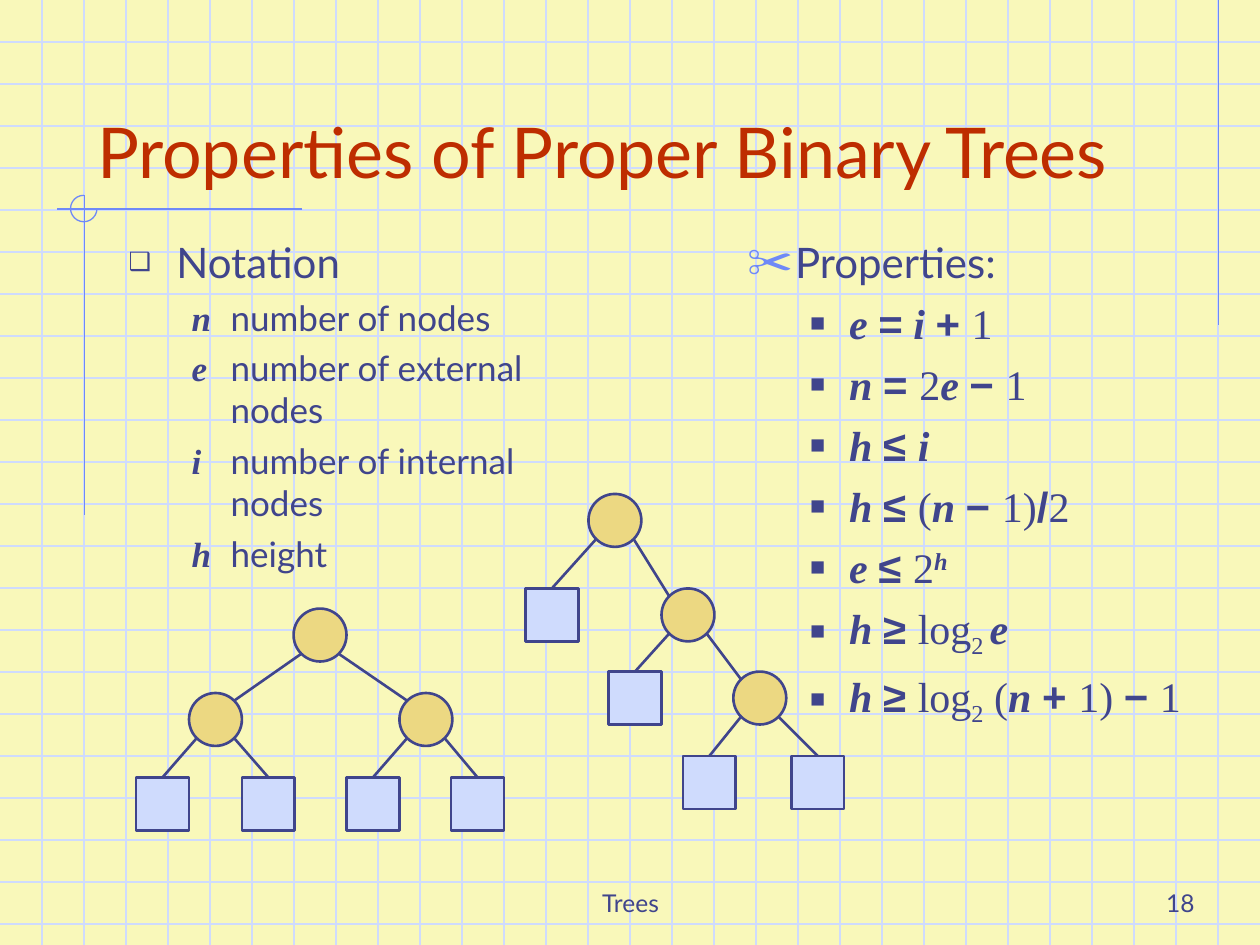
from lxml.etree import SubElement
from pptx import Presentation
from pptx.dml.color import RGBColor
from pptx.enum.shapes import MSO_CONNECTOR, MSO_SHAPE
from pptx.enum.text import MSO_ANCHOR, MSO_AUTO_SIZE, PP_ALIGN
from pptx.oxml.ns import qn
from pptx.util import Inches, Pt

COLORS = {"paper": "F9F8BA", "grid": "CFDBFD", "accent": "6F89F7", "ink": "40458C",
          "title": "BE2D00", "inner": "ECD882", "leaf": "CFDBFD"}
SANS, SERIF, SYMBOL = "Lato", "Times New Roman", "Arial"
VARIABLE = dict(font=SERIF, bold=True, italic=True)
OPERATOR = dict(font=SYMBOL, bold=True)
PLAIN = dict(font=SERIF)
SUPER = dict(VARIABLE, baseline=30)
SUB = dict(PLAIN, baseline=-25)
NODE = 0.42

NOTATION = [("n", "number of nodes"), ("e", "number of external nodes"),
            ("i", "number of internal nodes"), ("h", "height")]
FORMULAS = [
    [("e ", VARIABLE), ("=", OPERATOR), (" i ", VARIABLE), ("+ ", OPERATOR), ("1", PLAIN)],
    [("n ", VARIABLE), ("= ", OPERATOR), ("2", PLAIN), ("e ", VARIABLE), ("− ", OPERATOR),
     ("1", PLAIN)],
    [("h ", VARIABLE), ("≤ ", OPERATOR), ("i", VARIABLE)],
    [("h ", VARIABLE), ("≤ ", OPERATOR), ("(", PLAIN), ("n ", VARIABLE), ("− ", OPERATOR),
     ("1)", PLAIN), ("/", OPERATOR), ("2", PLAIN)],
    [("e ", VARIABLE), ("≤ ", OPERATOR), ("2", PLAIN), ("h", SUPER)],
    [("h ", VARIABLE), ("≥ ", OPERATOR), ("log", PLAIN), ("2 ", SUB), ("e", VARIABLE)],
    [("h ", VARIABLE), ("≥ ", OPERATOR), ("log", PLAIN), ("2", SUB), (" (", PLAIN),
     ("n ", VARIABLE), ("+ ", OPERATOR), ("1) ", PLAIN), ("− ", OPERATOR), ("1", PLAIN)],
]
BALANCED_TREE = (1.25, 0, [
    (0.42, 0.67, [(0, 1.34, []), (0.84, 1.34, [])]),
    (2.09, 0.67, [(1.67, 1.34, []), (2.5, 1.34, [])])])
SKEWED_TREE = (0.5, 0, [
    (0, 0.75, []),
    (1.08, 0.75, [
        (0.66, 1.41, []),
        (1.65, 1.41, [(1.25, 2.08, []), (2.11, 2.08, [])])])])


def rgb(name):
    return RGBColor.from_string(COLORS[name])


def add_text(paragraph, text, size=24, font=SANS, color="ink", bold=False, italic=False,
             baseline=0):
    run = paragraph.add_run()
    run.text = text
    run.font.size, run.font.name = Pt(size), font
    run.font.bold, run.font.italic = bold, italic
    run.font.color.rgb = rgb(color)
    if baseline:
        run._r.get_or_add_rPr().set("baseline", str(baseline * 1000))


def place(shape, box, anchor):
    shape.left, shape.top, shape.width, shape.height = map(Inches, box)
    frame = shape.text_frame
    frame.word_wrap, frame.auto_size = True, MSO_AUTO_SIZE.NONE
    frame.vertical_anchor = anchor
    frame.margin_left = frame.margin_right = Inches(0.1)
    frame.margin_top = frame.margin_bottom = Inches(0.05)
    return frame


def add_item(frame, first=False, level=0, before=6, bullet=None, color="ink", percent=60):
    item = frame.paragraphs[0] if first else frame.add_paragraph()
    item.level, item.alignment = level, PP_ALIGN.LEFT
    item.space_before = Pt(0 if first else before)
    props = item._p.get_or_add_pPr()
    margin, hang = [(0.38, 0.38), (0.81, 0.31)][level]
    props.set("marL", str(Inches(margin)))
    props.set("indent", str(-Inches(hang)))
    if bullet:
        SubElement(SubElement(props, qn("a:buClr")), qn("a:srgbClr")).set("val", COLORS[color])
        SubElement(props, qn("a:buSzPct")).set("val", str(percent * 1000))
        SubElement(props, qn("a:buChar")).set("char", bullet)
    else:
        SubElement(props, qn("a:buNone"))
    return item


def add_line(shapes, start, end, color, width=0.75):
    line = shapes.add_connector(MSO_CONNECTOR.STRAIGHT, *map(Inches, start + end))
    line.line.color.rgb, line.line.width = rgb(color), Pt(width)
    SubElement(line._element.spPr, qn("a:effectLst"))
    return line


def style_shape(shape, line, width, fill=None):
    shape.shadow.inherit = False
    shape.line.color.rgb, shape.line.width = rgb(line), Pt(width)
    if fill:
        shape.fill.solid()
        shape.fill.fore_color.rgb = rgb(fill)
    else:
        shape.fill.background()


def draw_paper(slide, box):
    left, top, width, height = box
    slide.background.fill.solid()
    slide.background.fill.fore_color.rgb = rgb("paper")
    group = slide.shapes.add_group_shape()
    for row in range(1, int(height * 3) + 1):
        y = top + row / 3
        add_line(group.shapes, (left, y), (left + width, y), "grid")
    for column in range(1, int(width * 3)):
        x = left + column / 3
        add_line(group.shapes, (x, top), (x, top + height), "grid")
    for start, end in [((9.67, 0), (9.67, 2.58)), ((2.4, 1.66), (0.45, 1.66)),
                       ((0.67, 1.55), (0.67, 4.09))]:
        add_line(group.shapes, (left + start[0], top + start[1]),
                 (left + end[0], top + end[1]), "accent")
    arc = group.shapes.add_shape(MSO_SHAPE.ARC, Inches(left + 0.56), Inches(top + 1.55),
                                 Inches(0.21), Inches(0.21))
    arc.adjustments[0], arc.adjustments[1] = 0, 162
    style_shape(arc, "accent", 0.75)
    slide.shapes.element.insert(2, group._element)


def write_title(title, box):
    heading = place(title, box, MSO_ANCHOR.BOTTOM).paragraphs[0]
    heading.alignment = PP_ALIGN.LEFT
    add_text(heading, "Properties of Proper Binary Trees", size=40, color="title")


def write_notation(body, box):
    frame = place(body, box, MSO_ANCHOR.TOP)
    add_text(add_item(frame, first=True, bullet="❑"), "Notation")
    for symbol, meaning in NOTATION:
        item = add_item(frame, level=1, before=5)
        add_text(item, symbol + "\t", size=20, **VARIABLE)
        add_text(item, meaning, size=20)


def write_properties(body, box):
    frame = place(body, box, MSO_ANCHOR.TOP)
    add_text(add_item(frame, first=True, bullet="✂", color="accent", percent=110), "Properties:")
    for formula in FORMULAS:
        item = add_item(frame, level=1, bullet="■")
        for text, style in formula:
            add_text(item, text, **style)


def write_footer(slide, box, text, align):
    footer = slide.shapes.add_textbox(*map(Inches, box))
    line = place(footer, box, MSO_ANCHOR.BOTTOM).paragraphs[0]
    line.alignment = align
    add_text(line, text, size=14)


def draw_tree(shapes, origin, tree):
    x, y, children = tree
    left, top = origin[0] + x, origin[1] + y
    kind, fill = (MSO_SHAPE.OVAL, "inner") if children else (MSO_SHAPE.RECTANGLE, "leaf")
    node = shapes.add_shape(kind, Inches(left), Inches(top), Inches(NODE), Inches(NODE))
    style_shape(node, "ink", 1.5, fill)
    near, far = 0.06, NODE - 0.06
    for child, exit_x, entry_x in zip(children, (near, far), (far, near)):
        child_node = draw_tree(shapes, origin, child)
        start = (left + exit_x, top + far)
        end = (origin[0] + child[0] + entry_x, origin[1] + child[1] + near)
        edge = add_line(shapes, start, end, "ink", 1.5)
        if not child[2]:
            edge.end_connect(child_node, 0)
    return node


def main():
    deck = Presentation()
    deck.slide_width, deck.slide_height = Inches(10), Inches(7.5)
    slide = deck.slides.add_slide(deck.slide_layouts[3])
    title, notation, properties = slide.placeholders
    draw_paper(slide, (0, 0, 10, 7.5))
    write_footer(slide, (3.42, 6.83, 3.17, 0.5), "Trees", PP_ALIGN.CENTER)
    write_footer(slide, (7.5, 6.83, 2.08, 0.5), "18", PP_ALIGN.RIGHT)
    write_title(title, (0.67, 0.33, 8.5, 1.25))
    write_notation(notation, (0.92, 1.83, 3.33, 2.83))
    write_properties(properties, (5.83, 1.83, 3.75, 4))
    for origin, tree in [((1.08, 4.83), BALANCED_TREE), ((4.17, 3.92), SKEWED_TREE)]:
        draw_tree(slide.shapes.add_group_shape().shapes, origin, tree)
    deck.save("out.pptx")


if __name__ == "__main__":
    main()
